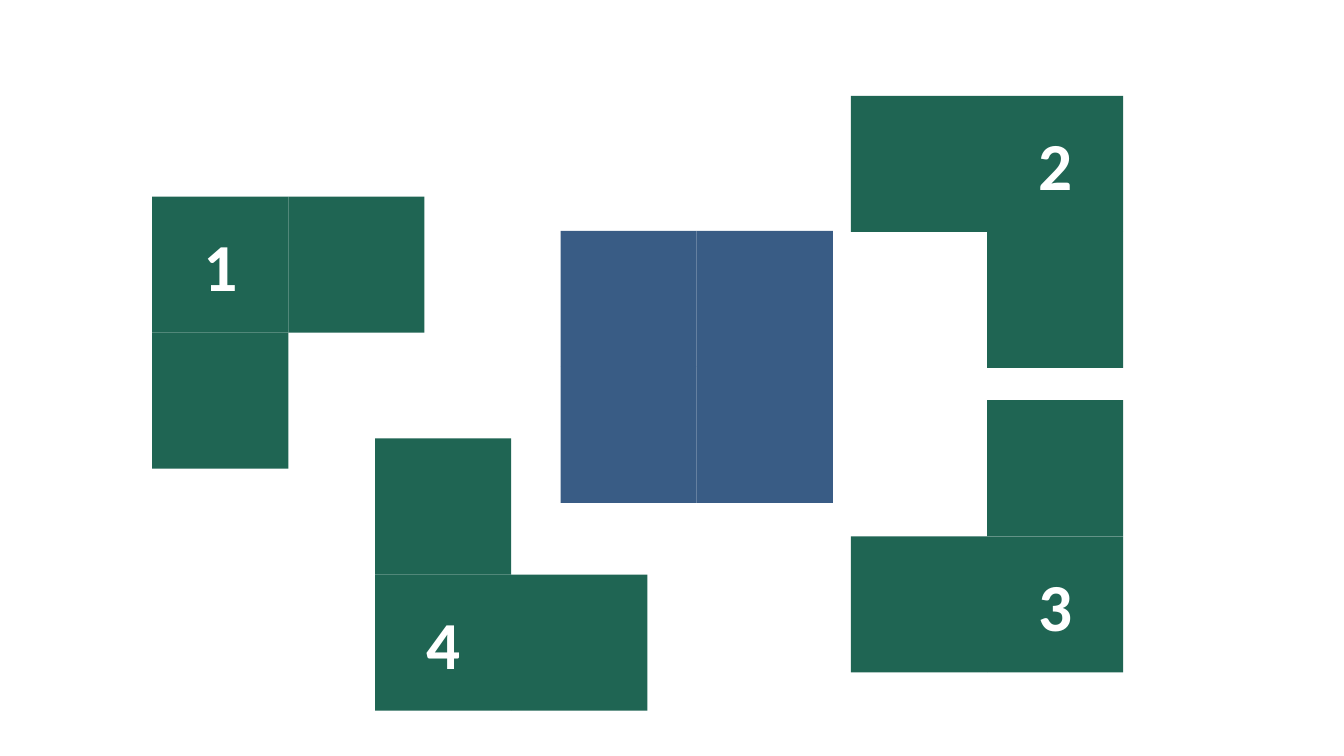
from pptx import Presentation
from pptx.dml.color import RGBColor
from pptx.enum.shapes import MSO_SHAPE as Shape
from pptx.enum.text import MSO_ANCHOR as Anchor, PP_ALIGN as Align
from pptx.util import Inches, Pt

GREEN = RGBColor(0x1F, 0x65, 0x53)
BLUE = RGBColor(0x39, 0x5C, 0x85)
WHITE = RGBColor(0xFF, 0xFF, 0xFF)

SIDE = 1.35
NUMBER_FORMAT = {"name": "Calibri", "size": Pt(48), "bold": True}

# Left, top, colour, then the label of each (column, row) cell, back to front
PIECES = [
    (1.51, 1.95, GREEN, {(0, 1): "", (0, 0): "1", (1, 0): ""}),
    (8.44, 0.95, GREEN, {(0, 0): "", (1, 0): "2", (1, 1): ""}),
    (5.56, 2.29, BLUE, {(0, 0): "", (1, 0): "", (0, 1): "", (1, 1): ""}),
    (3.72, 4.35, GREEN, {(0, 0): "", (0, 1): "4", (1, 1): ""}),
    (8.44, 3.97, GREEN, {(1, 0): "", (0, 1): "", (1, 1): "3"}),
]


def add_number(square, number):
    frame = square.text_frame
    frame.vertical_anchor = Anchor.MIDDLE
    para = frame.paragraphs[0]
    para.alignment = Align.CENTER
    span = para.add_run()
    span.text = number
    for name, value in NUMBER_FORMAT.items():
        setattr(span.font, name, value)
    span.font.color.rgb = WHITE


def add_square(group, left, top, color, number):
    square = group.shapes.add_shape(
        Shape.RECTANGLE, Inches(left), Inches(top), Inches(SIDE), Inches(SIDE))
    square.shadow.inherit = False
    square.fill.solid()
    square.fill.fore_color.rgb = color
    square.line.fill.background()
    if number:
        add_number(square, number)


def add_piece(page, left, top, color, cells):
    """Group unit squares placed on a two-by-two grid."""
    group = page.shapes.add_group_shape()
    for (column, row), number in cells.items():
        add_square(group, left + column * SIDE, top + row * SIDE, color, number)


def main():
    deck = Presentation()
    deck.slide_width, deck.slide_height = Inches(13.33), Inches(7.5)
    page = deck.slides.add_slide(deck.slide_layouts[6])
    for piece in PIECES:
        add_piece(page, *piece)
    deck.save("out.pptx")


if __name__ == "__main__":
    main()
